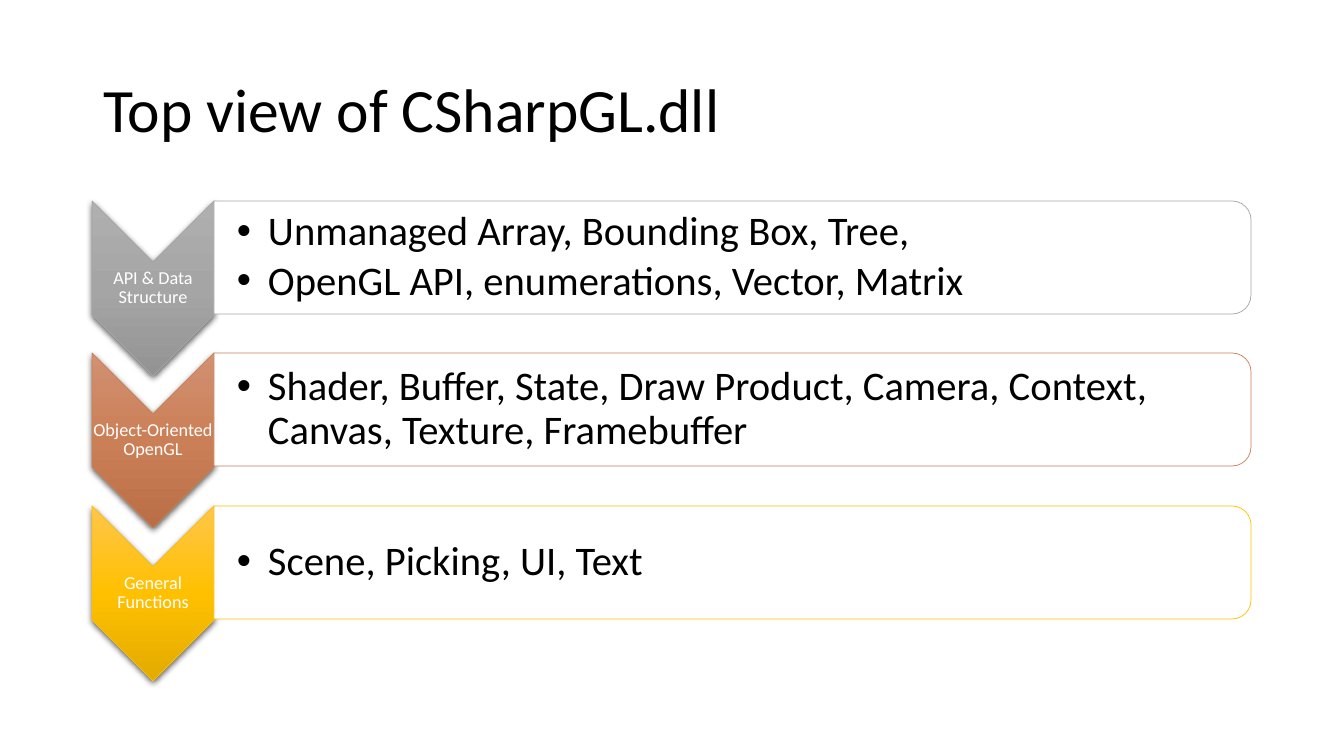
from copy import deepcopy
from lxml.etree import SubElement
from pptx import Presentation
from pptx.dml.color import RGBColor
from pptx.enum.shapes import MSO_SHAPE
from pptx.enum.text import MSO_ANCHOR, PP_ALIGN
from pptx.oxml import parse_xml
from pptx.oxml.ns import nsdecls, qn
from pptx.util import Pt

BLACK = RGBColor(0x00, 0x00, 0x00)
WHITE = RGBColor(0xFF, 0xFF, 0xFF)
GRAYS = (RGBColor(0xAF, 0xAF, 0xAF), RGBColor(0xA5, 0xA5, 0xA5), RGBColor(0x93, 0x93, 0x93))
BROWNS = (RGBColor(0xD1, 0x91, 0x72), RGBColor(0xCB, 0x7F, 0x56), RGBColor(0xBA, 0x6E, 0x45))
YELLOWS = (RGBColor(0xFF, 0xC6, 0x4B), RGBColor(0xFF, 0xC0, 0x00), RGBColor(0xE3, 0xAB, 0x00))

TITLE = "Top view of CSharpGL.dll"
LAYERS = [
    ("API & Data Structure", GRAYS,
     ["Unmanaged Array, Bounding Box, Tree,", "OpenGL API, enumerations, Vector, Matrix"]),
    ("Object-Oriented OpenGL", BROWNS,
     ["Shader, Buffer, State, Draw Product, Camera, Context, Canvas, Texture, Framebuffer"]),
    ("General Functions", YELLOWS, ["Scene, Picking, UI, Text"]),
]

FONT = "Calibri"
SLIDE_WIDTH, SLIDE_HEIGHT = 1344, 756
LEFT, FIRST_TOP, TWO_ROWS = 92, 201, 305
CHEVRON_WIDTH, CHEVRON_HEIGHT = 122, 175
PANEL_WIDTH, PANEL_HEIGHT = 1037, 113
PANEL_LEFT = LEFT + CHEVRON_WIDTH
LABEL_OFFSET, LABEL_HEIGHT = 61, 52
TEXT_INSET, BULLET_INDENT = 23, 31


def px(length):
    return round(length * 914400 / 100.8)


def format_paragraph(paragraph, size, color, space_after, alignment=PP_ALIGN.LEFT):
    paragraph.alignment = alignment
    paragraph.line_spacing = 0.9
    paragraph.space_after = Pt(space_after)
    for run in paragraph.runs:
        run.font.name = FONT
        run.font.size = Pt(size)
        run.font.color.rgb = color


def add_turned_shape(kind, left, top, width, height, color):
    turned_left = left + (width - height) / 2
    turned_top = top + (height - width) / 2
    shape = slide.shapes.add_shape(kind, px(turned_left), px(turned_top), px(height), px(width))
    shape.rotation = 90
    shape.shadow.inherit = False
    shape.line.color.rgb = color
    shape.line.width = Pt(0.5)
    return shape


def add_text(texts, left, top, width, height, inset=1):
    frame = slide.shapes.add_textbox(px(left), px(top), px(width), px(height)).text_frame
    frame.word_wrap = True
    frame.vertical_anchor = MSO_ANCHOR.MIDDLE
    frame.margin_left = px(inset)
    frame.margin_right = frame.margin_top = frame.margin_bottom = px(1)
    frame.text = "\n".join(texts)
    return frame.paragraphs


def add_chevron(top, colors):
    chevron = add_turned_shape(MSO_SHAPE.CHEVRON, LEFT, top, CHEVRON_WIDTH, CHEVRON_HEIGHT, colors[1])
    chevron.fill.gradient()
    chevron.fill.gradient_angle = 0
    properties = chevron._element.spPr
    stops = properties.find(qn("a:gradFill")).find(qn("a:gsLst"))
    stops.insert(1, deepcopy(stops[0]))
    for stop, position, color in zip(chevron.fill.gradient_stops, (0, 0.5, 1), colors):
        stop.position = position
        stop.color.rgb = color
    properties.find(qn("a:effectLst")).append(parse_xml(
        f'<a:outerShdw {nsdecls("a")} blurRad="{Pt(4.5)}" dist="{Pt(1.5)}" dir="5400000" '
        'algn="ctr" rotWithShape="0"><a:srgbClr val="000000"><a:alpha val="63000"/>'
        '</a:srgbClr></a:outerShdw>'))


def add_bullet(paragraph):
    properties = paragraph._p.get_or_add_pPr()
    properties.set("marL", str(px(BULLET_INDENT)))
    properties.set("indent", str(-px(BULLET_INDENT)))
    SubElement(properties, qn("a:buFont"), typeface="Arial")
    SubElement(properties, qn("a:buChar"), char="•")


presentation = Presentation()
presentation.slide_width = px(SLIDE_WIDTH)
presentation.slide_height = px(SLIDE_HEIGHT)
slide = presentation.slides.add_slide(presentation.slide_layouts[5])

title = slide.shapes.title
title.left, title.top, title.width, title.height = px(93), px(40), px(1159), px(146)
title.text_frame.text = TITLE
title.text_frame.vertical_anchor = MSO_ANCHOR.MIDDLE
format_paragraph(title.text_frame.paragraphs[0], 44, BLACK, 0)

for index, (label, colors, items) in enumerate(LAYERS):
    top = FIRST_TOP + index * TWO_ROWS // 2
    add_chevron(top, colors)
    for paragraph in add_text([label], LEFT, top + LABEL_OFFSET, CHEVRON_WIDTH, LABEL_HEIGHT):
        format_paragraph(paragraph, 13, WHITE, 4, PP_ALIGN.CENTER)

    panel = add_turned_shape(MSO_SHAPE.ROUND_2_SAME_RECTANGLE, PANEL_LEFT, top,
                             PANEL_WIDTH, PANEL_HEIGHT, colors[1])
    panel.fill.solid()
    panel.fill.fore_color.rgb = WHITE
    for paragraph in add_text(items, PANEL_LEFT, top, PANEL_WIDTH, PANEL_HEIGHT, TEXT_INSET):
        format_paragraph(paragraph, 29, BLACK, 4)
        add_bullet(paragraph)

presentation.save("out.pptx")
